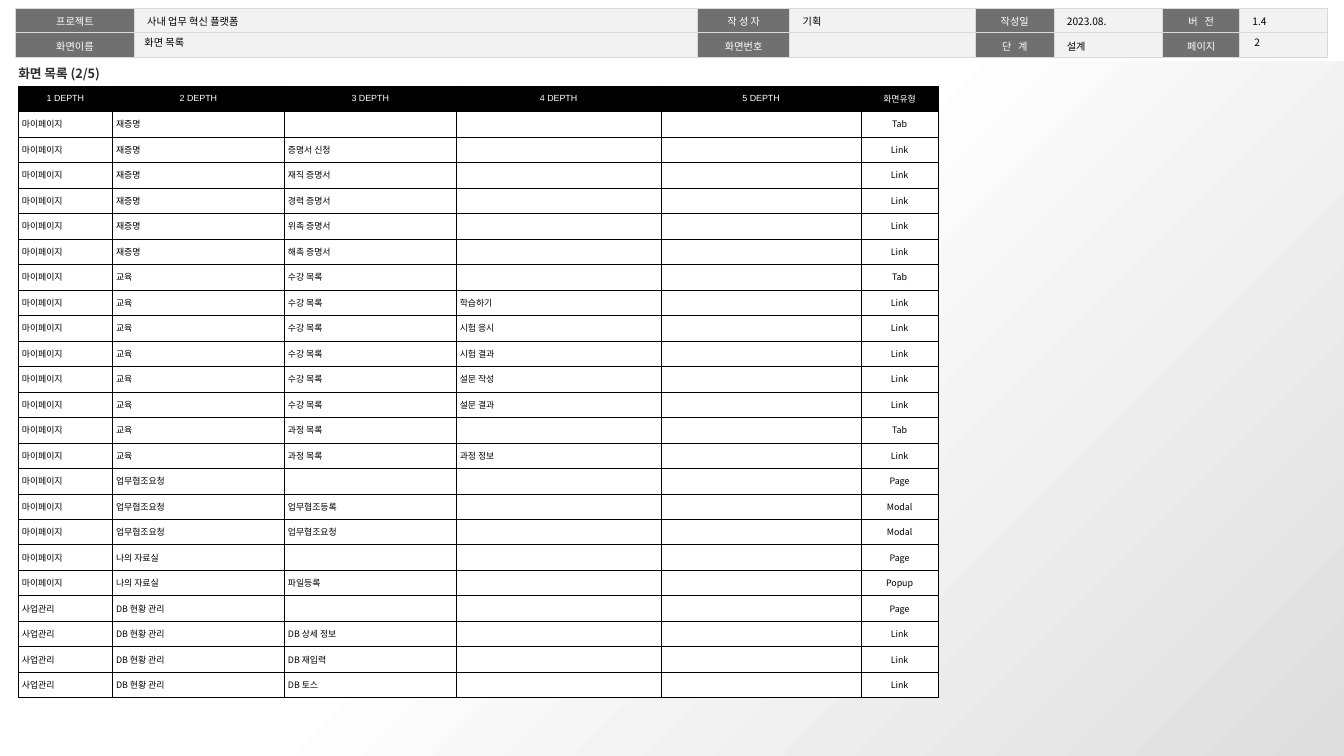
from dataclasses import dataclass

from lxml import etree
from pptx import Presentation
from pptx.dml.color import RGBColor
from pptx.enum.shapes import MSO_SHAPE
from pptx.enum.text import MSO_ANCHOR, PP_ALIGN
from pptx.oxml.ns import qn
from pptx.util import Emu, Pt

RECTANGLE = MSO_SHAPE.RECTANGLE
TOP, MIDDLE = MSO_ANCHOR.TOP, MSO_ANCHOR.MIDDLE
LEFT, CENTER = PP_ALIGN.LEFT, PP_ALIGN.CENTER

PX = 9144  # 100 px to the inch
KOREAN = "Noto Sans CJK KR"
LATIN = "Arial"
COLORS = {
    "white": "FFFFFF",
    "black": "000000",
    "heading": "2E2E2E",
    "label": "707070",
    "value": "F2F2F2",
    "rule": "D9D9D9",
    "shade": "DEDEDE",
}


@dataclass(frozen=True)
class TextStyle:
    size: int
    color: str = "black"
    font: str = KOREAN
    bold: bool = False
    align: PP_ALIGN = LEFT
    line_spacing: float = 1.0
    tracking: int = 0  # hundredths of a point


@dataclass(frozen=True)
class Cell:
    text: str
    fill: str
    style: TextStyle


@dataclass(frozen=True)
class TableLayout:
    left: int
    top: int
    height: int
    widths: tuple[int, ...]
    margins: tuple[int, int]  # horizontal, vertical
    anchor: MSO_ANCHOR
    rule_color: str
    rule_width: float


@dataclass(frozen=True)
class Label:
    text: str
    frame: tuple[int, int, int, int]
    margins: tuple[int, int]
    style: TextStyle
    anchor: MSO_ANCHOR = MIDDLE
    wrap: bool = True


HEADER_LAYOUT = TableLayout(17, 9, 49, (130, 616, 101, 203, 86, 119, 84, 96),
                            (14, 5), TOP, "rule", 1)
SCREEN_LAYOUT = TableLayout(20, 94, 669, (103, 188, 188, 224, 219, 84),
                            (4, 4), MIDDLE, "black", 0.25)

HEADER_ROWS = [
    ("프로젝트", "사내 업무 혁신 플랫폼", "작 성 자", "기획",
     "작성일", "2023.08.", "버 전", "1.4"),
    ("화면이름", "", "화면번호", "", "단 계", "설계", "페이지", ""),
]
WIDE_LABELS = {"버 전", "단 계"}

SCREEN_TITLES = ("1 DEPTH", "2 DEPTH", "3 DEPTH", "4 DEPTH", "5 DEPTH", "화면유형")
# First depth, second depth, then (third depth, fourth depth, screen type)
SCREEN_GROUPS = [
    ("마이페이지", "재증명", [
        ("", "", "Tab"), ("증명서 신청", "", "Link"), ("재직 증명서", "", "Link"),
        ("경력 증명서", "", "Link"), ("위촉 증명서", "", "Link"),
        ("해촉 증명서", "", "Link")]),
    ("마이페이지", "교육", [
        ("수강 목록", "", "Tab"), ("수강 목록", "학습하기", "Link"),
        ("수강 목록", "시험 응시", "Link"), ("수강 목록", "시험 결과", "Link"),
        ("수강 목록", "설문 작성", "Link"), ("수강 목록", "설문 결과", "Link"),
        ("과정 목록", "", "Tab"), ("과정 목록", "과정 정보", "Link")]),
    ("마이페이지", "업무협조요청", [
        ("", "", "Page"), ("업무협조등록", "", "Modal"),
        ("업무협조요청", "", "Modal")]),
    ("마이페이지", "나의 자료실", [("", "", "Page"), ("파일등록", "", "Popup")]),
    ("사업관리", "DB 현황 관리", [
        ("", "", "Page"), ("DB 상세 정보", "", "Link"),
        ("DB 재입력", "", "Link"), ("DB 토스", "", "Link")]),
]

LABELS = [
    Label("2", (1362, 38, 72, 16), (10, 5), TextStyle(8)),
    Label("화면 목록", (147, 38, 542, 16), (11, 5), TextStyle(8)),
    Label("화면 목록 (2/5)", (20, 59, 98, 35), (0, 5),
          TextStyle(10, "heading", bold=True, line_spacing=1.5), TOP, False),
]


def rgb(name: str) -> RGBColor:
    return RGBColor.from_string(COLORS[name])


def write(para, text: str, style: TextStyle) -> None:
    para.text = text
    para.alignment = style.align
    para.line_spacing = style.line_spacing
    if not text:
        end = etree.SubElement(para._p, qn("a:endParaRPr"))
        end.set("sz", str(style.size * 100))
    for span in para.runs:
        span.font.size = Pt(style.size)
        span.font.bold = style.bold
        span.font.color.rgb = rgb(style.color)
        span.font.name = style.font
        properties = span._r.get_or_add_rPr()
        etree.SubElement(properties, qn("a:ea")).set("typeface", KOREAN)
        if style.tracking:
            properties.set("spc", str(style.tracking))


def add_borders(cell, color: str, width: float) -> None:
    properties = cell._tc.get_or_add_tcPr()
    for index, side in enumerate(("a:lnL", "a:lnR", "a:lnT", "a:lnB")):
        line = etree.Element(qn(side), w=str(Pt(width)))
        fill = etree.SubElement(line, qn("a:solidFill"))
        etree.SubElement(fill, qn("a:srgbClr")).set("val", COLORS[color])
        properties.insert(index, line)


def add_grid(page, layout: TableLayout, rows: list[list[Cell]]) -> None:
    frame = page.shapes.add_table(
        len(rows), len(layout.widths), Emu(layout.left * PX), Emu(layout.top * PX),
        Emu(sum(layout.widths) * PX), Emu(layout.height * PX))
    table = frame.table
    table.first_row = table.horz_banding = False
    for column, width in zip(table.columns, layout.widths):
        column.width = Emu(width * PX)
    horizontal, vertical = (Emu(margin * PX) for margin in layout.margins)
    for table_row, row in zip(table.rows, rows):
        table_row.height = Emu(layout.height * PX // len(rows))
        for cell, content in zip(table_row.cells, row):
            cell.margin_left = cell.margin_right = horizontal
            cell.margin_top = cell.margin_bottom = vertical
            cell.vertical_anchor = layout.anchor
            cell.fill.solid()
            cell.fill.fore_color.rgb = rgb(content.fill)
            add_borders(cell, layout.rule_color, layout.rule_width)
            write(cell.text_frame.paragraphs[0], content.text, content.style)


def header_cell(column: int, text: str) -> Cell:
    if column % 2:
        return Cell(text, "value", TextStyle(8, line_spacing=1.05))
    tracking = 180 if text in WIDE_LABELS else 0
    return Cell(text, "label", TextStyle(8, "white", align=CENTER,
                                         line_spacing=1.05, tracking=tracking))


def screen_rows() -> list[list[Cell]]:
    title = TextStyle(7, "white", LATIN, align=CENTER)
    first, body, kind = TextStyle(7, font=LATIN), TextStyle(7), TextStyle(7, align=CENTER)
    styles = (first, body, body, body, body, kind)
    rows = [[Cell(text, "black", title) for text in SCREEN_TITLES]]
    for depth1, depth2, screens in SCREEN_GROUPS:
        for depth3, depth4, screen_type in screens:
            texts = (depth1, depth2, depth3, depth4, "", screen_type)
            rows.append([Cell(text, "white", style)
                         for text, style in zip(texts, styles)])
    return rows


def add_backdrop(page) -> None:
    backdrop = page.shapes.add_shape(RECTANGLE, 0, Emu(67 * PX), Emu(1470 * PX), Emu(760 * PX))
    backdrop.shadow.inherit = False
    backdrop.line.fill.background()
    backdrop.fill.gradient()
    backdrop.fill.gradient_angle = 315
    stops = ((0.45, "white"), (1.0, "shade"))
    for stop, (position, color) in zip(backdrop.fill.gradient_stops, stops):
        stop.position = position
        stop.color.rgb = rgb(color)


def add_label(page, label: Label) -> None:
    box = page.shapes.add_textbox(*(Emu(length * PX) for length in label.frame))
    frame = box.text_frame
    frame.word_wrap = label.wrap
    frame.vertical_anchor = label.anchor
    horizontal, vertical = (Emu(margin * PX) for margin in label.margins)
    frame.margin_left = frame.margin_right = horizontal
    frame.margin_top = frame.margin_bottom = vertical
    write(frame.paragraphs[0], label.text, label.style)


def main() -> None:
    deck = Presentation()
    deck.slide_width, deck.slide_height = Emu(1470 * PX), Emu(827 * PX)
    page = deck.slides.add_slide(deck.slide_layouts[6])
    add_grid(page, HEADER_LAYOUT, [[header_cell(column, text) for column, text in enumerate(row)]
                                   for row in HEADER_ROWS])
    add_backdrop(page)
    for label in LABELS:
        add_label(page, label)
    add_grid(page, SCREEN_LAYOUT, screen_rows())
    deck.save("out.pptx")


if __name__ == "__main__":
    main()
